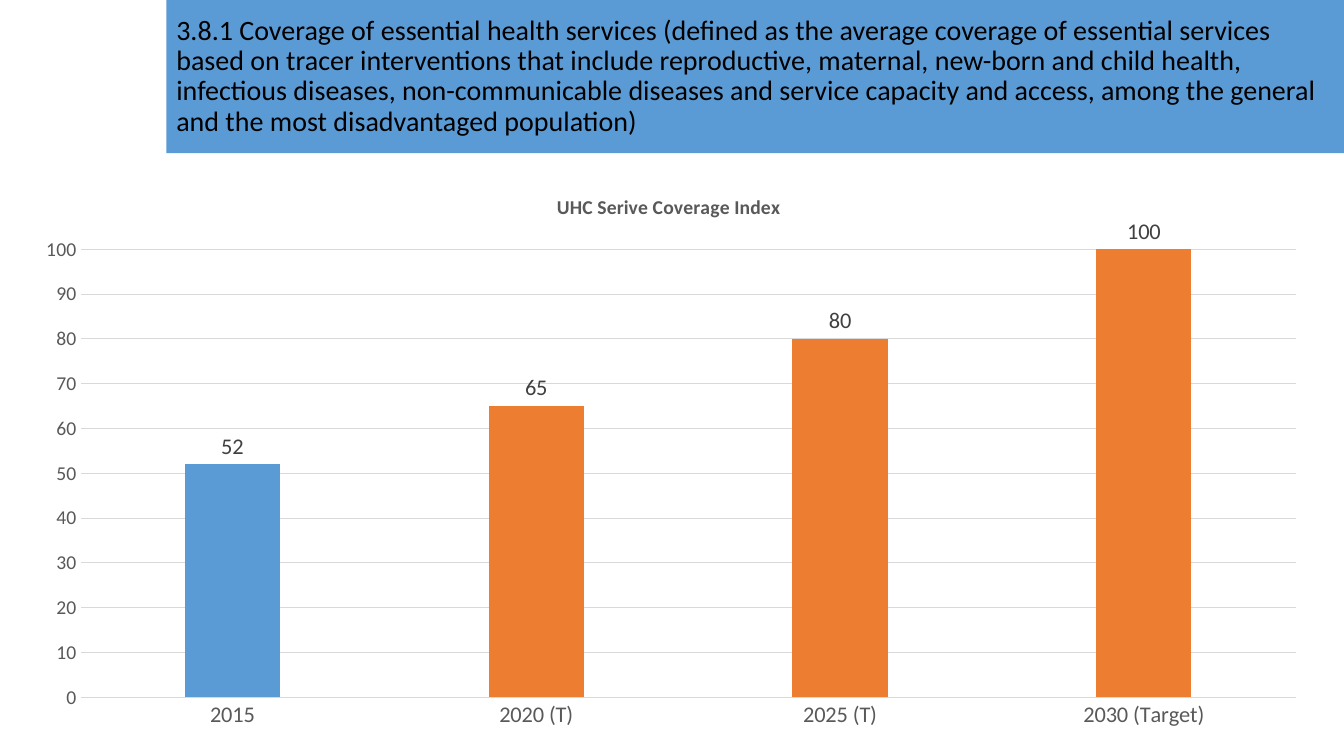
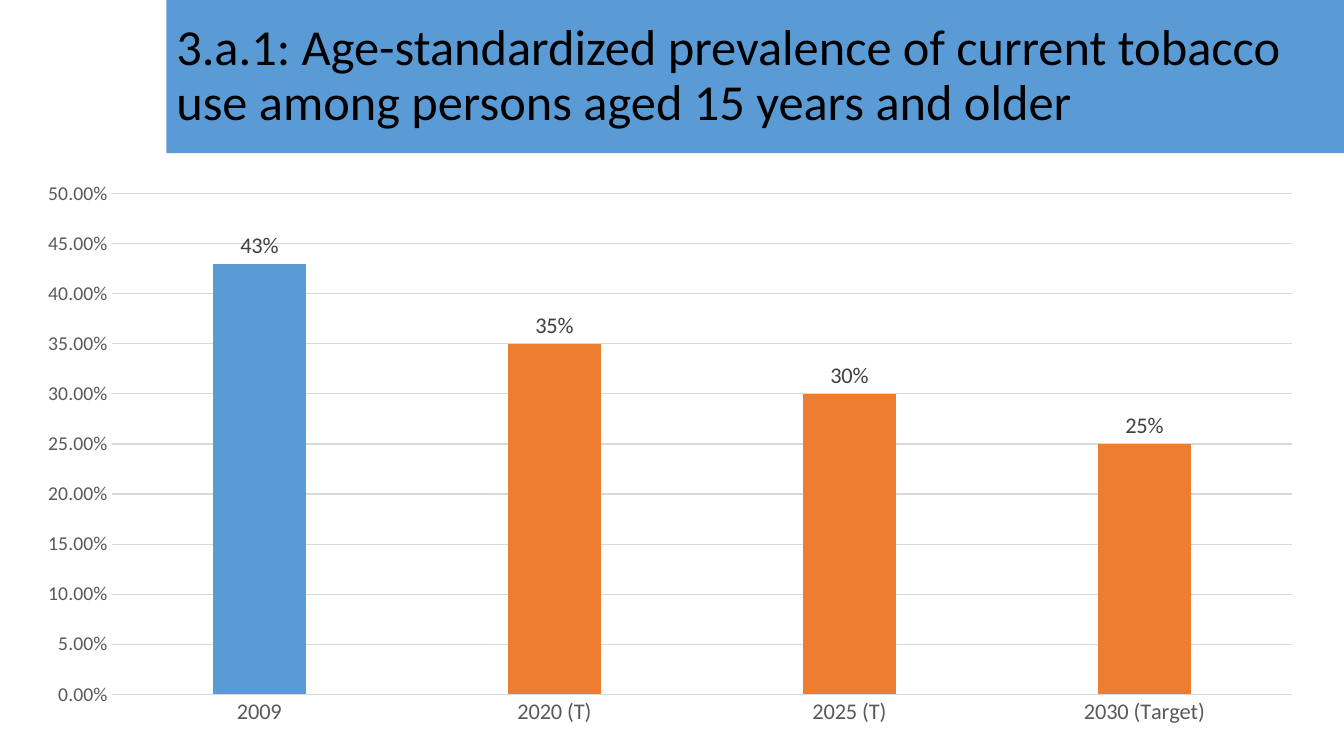
from pptx import Presentation
from pptx.chart.data import CategoryChartData
from pptx.dml.color import RGBColor
from pptx.enum.chart import XL_CHART_TYPE, XL_LABEL_POSITION, XL_TICK_MARK
from pptx.enum.shapes import MSO_SHAPE
from pptx.enum.text import MSO_ANCHOR, PP_ALIGN
from pptx.util import Inches, Pt

WIDE, HIGH = 13.33, 7.5
BAND = (1.65, 0, WIDE - 1.65, 1.52)
FONT = "Calibri"
COLORS = {"blue": "5B9BD5", "orange": "ED7D31", "grid": "D9D9D9",
          "axis": "595959", "label": "404040", "ink": "000000"}
GOALS = ["2020 (T)", "2025 (T)", "2030 (Target)"]

SLIDES = [
    {"head": "3.8.1 Coverage of essential health services (defined as the "
             "average coverage of essential services based on tracer "
             "interventions that include reproductive, maternal, new-born and "
             "child health, infectious diseases, non-communicable diseases and "
             "service capacity and access, among the general and the most "
             "disadvantaged population)",
     "size": 20, "box": (0.2, 1.72, 12.91, 5.62),
     "title": "UHC Serive Coverage Index ", "start": "2015",
     "vals": [52, 65, 80, 100], "top": 100, "step": 10,
     "axis": "General", "label": "General"},
    {"head": "3.a.1: Age-standardized prevalence of current tobacco use among "
             "persons aged 15 years and older",
     "size": 36, "box": (0.22, 1.69, 12.85, 5.62),
     "title": None, "start": "2009",
     "vals": [0.43, 0.35, 0.3, 0.25], "top": 0.5, "step": 0.05,
     "axis": "0.00%", "label": "0%"},
]


def color(name):
    return RGBColor.from_string(COLORS[name])


def style(font, size, ink, bold=False):
    font.name, font.size, font.bold = FONT, Pt(size), bold
    font.color.rgb = color(ink)


def write(frame, text, size, ink="ink", bold=False, align=None, space=None):
    para = frame.paragraphs[0]
    para.alignment, para.line_spacing = align, space
    run = para.add_run()
    run.text = text
    style(run.font, size, ink, bold)


def fill(part, name):
    part.fill.solid()
    part.fill.fore_color.rgb = color(name)


def rule(line):
    line.width = Pt(0.75)
    line.color.rgb = color("grid")


def add_band(slide, text, size):
    band = slide.shapes.add_shape(MSO_SHAPE.RECTANGLE, *map(Inches, BAND))
    band.shadow.inherit = False
    fill(band, "blue")
    band.line.fill.background()
    frame = band.text_frame
    frame.word_wrap = True
    frame.vertical_anchor = MSO_ANCHOR.MIDDLE
    write(frame, text, size, align=PP_ALIGN.LEFT, space=0.9)


def add_bars(slide, item):
    data = CategoryChartData()
    data.categories = [item["start"], *GOALS]
    data.add_series("Series 1", item["vals"])
    chart = slide.shapes.add_chart(XL_CHART_TYPE.COLUMN_CLUSTERED,
                                   *map(Inches, item["box"]), data).chart
    style(chart.font, 10, "ink")
    chart.has_legend = False
    chart.has_title = bool(item["title"])
    if item["title"]:
        write(chart.chart_title.text_frame, item["title"], 14, "axis", bold=True)

    # Axes
    cat, val = chart.category_axis, chart.value_axis
    for axis, size in ((cat, 16), (val, 14)):
        axis.major_tick_mark = axis.minor_tick_mark = XL_TICK_MARK.NONE
        style(axis.tick_labels.font, size, "axis")
    rule(cat.format.line)
    val.format.line.fill.background()
    val.has_major_gridlines = True
    rule(val.major_gridlines.format.line)
    val.minimum_scale, val.maximum_scale = 0, item["top"]
    val.major_unit = item["step"]
    val.tick_labels.number_format = item["axis"]
    val.tick_labels.number_format_is_linked = False

    # Bars: the baseline is blue, the targets orange
    plot = chart.plots[0]
    plot.gap_width, plot.overlap = 219, -27
    plot.vary_by_categories = False
    bars = plot.series[0]
    bars.invert_if_negative = False
    fill(bars.format, "blue")
    for spot in range(1, len(item["vals"])):
        fill(bars.points[spot].format, "orange")

    # Value labels
    tags = bars.data_labels
    tags.show_value = True
    tags.position = XL_LABEL_POSITION.OUTSIDE_END
    tags.number_format = item["label"]
    tags.number_format_is_linked = False
    style(tags.font, 16, "label")


def main():
    deck = Presentation()
    deck.slide_width, deck.slide_height = Inches(WIDE), Inches(HIGH)
    for item in SLIDES:
        slide = deck.slides.add_slide(deck.slide_layouts[6])
        add_band(slide, item["head"], item["size"])
        add_bars(slide, item)
    deck.save("out.pptx")


if __name__ == "__main__":
    main()
